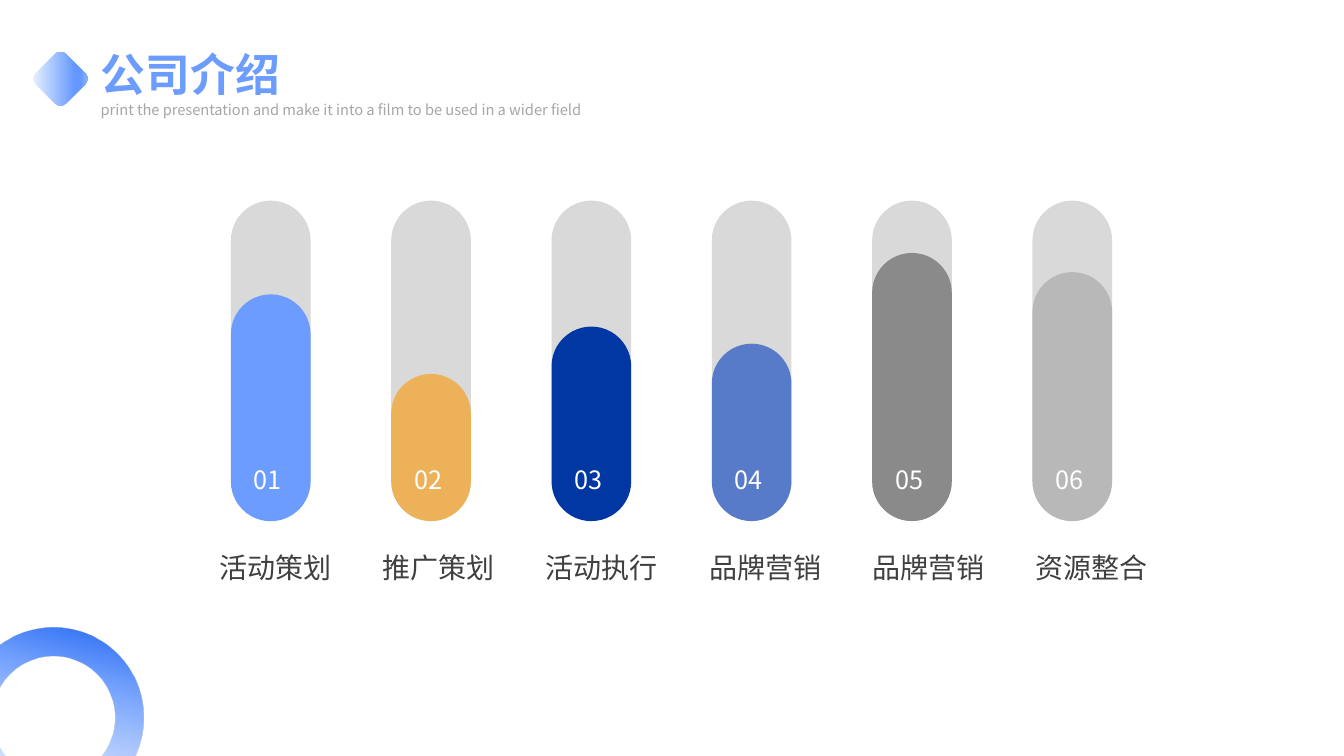
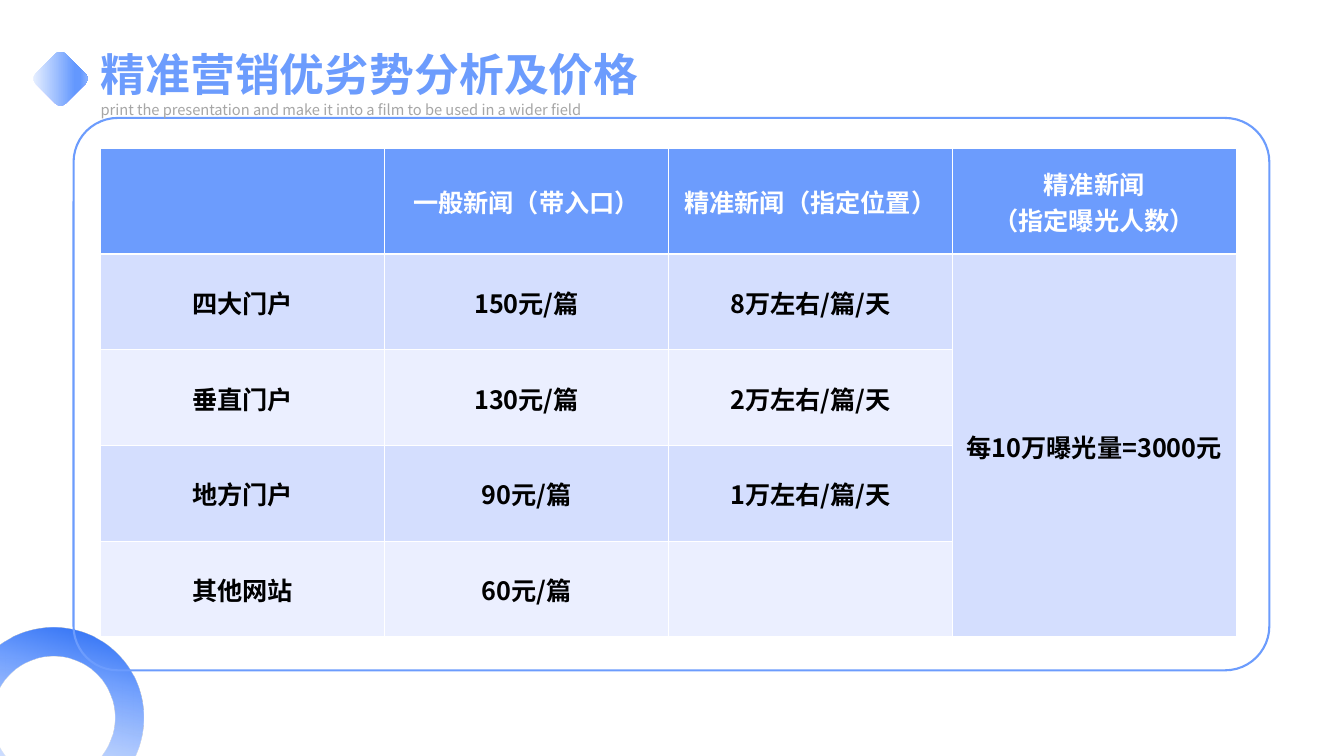
from lxml import etree
from pptx import Presentation
from pptx import util as u
from pptx.dml import color
from pptx.enum import shapes, text
from pptx.oxml import ns

# Shared look
SCALE = 9144  # EMU in one px, 100 px to the inch
FONT = "Noto Sans CJK SC"
BLUE, WHITE, BLACK = "6C9CFD", "FFFFFF", "000000"
TRACK, DARK, MUTED = "D9D9D9", "404040", "A6A6A6"
BANDS = ("D4DEFE", "EBEFFF")
SUBTITLE = "print the presentation and make it into a film to be used in a wider field"
# Gradient stops: percent, colour, opacity percent
DIAMOND_STOPS = [(0, "EEF4FF", 100), (74, "6498FE", 100),
                 (83, "6498FE", 100), (100, "98BAFE", 100)]
RING_STOPS = [(0, "0351EF", 100), (32, "709FFD", 100), (97, "A7C4FE", 0)]
CENTER = text.PP_ALIGN.CENTER

# Slide content
BARS = [("01", "活动策划", 225, BLUE), ("02", "推广策划", 146, "EDB159"),
        ("03", "活动执行", 193, "0137A3"), ("04", "品牌营销", 176, "587BC9"),
        ("05", "品牌营销", 266, "8A8A8A"), ("06", "资源整合", 247, "B8B8B8")]
PRICES = [
    ["", "一般新闻（带入口）", "精准新闻（指定位置）", "精准新闻\n（指定曝光人数）"],
    ["四大门户", "150元/篇", "8万左右/篇/天", "每10万曝光量=3000元"],
    ["垂直门户", "130元/篇", "2万左右/篇/天", ""],
    ["地方门户", "90元/篇", "1万左右/篇/天", ""],
    ["其他网站", "60元/篇", "", ""],
]


def px(value):
    return u.Emu(value * SCALE)


def rgb(value):
    return color.RGBColor.from_string(value)


def apply(target, values):
    for name, value in values.items():
        setattr(target, name, value)


def child(parent, tag, **attributes):
    element = etree.SubElement(parent, ns.qn(tag))
    for name, value in attributes.items():
        element.set(name, str(value))
    return element


def write(frame, content, size, ink, bold=False, **paragraph_format):
    """Fill a text frame, one paragraph for each line."""
    for index, line in enumerate(content.split("\n")):
        para = frame.add_paragraph() if index else frame.paragraphs[0]
        apply(para, paragraph_format)
        span = para.add_run()
        span.text = line
        apply(span.font, {"size": u.Pt(size), "bold": bold, "name": FONT})
        span.font.color.rgb = rgb(ink)
        child(span.font._element, "a:ea", typeface=FONT)


def add_text(page, at, content, size, ink, wrap=True, **style):
    box = page.shapes.add_textbox(*map(px, at))
    box.text_frame.word_wrap = wrap
    write(box.text_frame, content, size, ink, **style)


def add_shape(page, kind, at, fill=None, line=None, adjust=None, rotation=0):
    shape = page.shapes.add_shape(kind, *map(px, at))
    shape.shadow.inherit = False
    shape.rotation = rotation
    if adjust is not None:
        shape.adjustments[0] = adjust
    if fill:
        shape.fill.solid()
        shape.fill.fore_color.rgb = rgb(fill)
    else:
        shape.fill.background()
    if line:
        shape.line.color.rgb = rgb(line)
        shape.line.width = u.Pt(1.5)
    else:
        shape.line.fill.background()
    return shape


def set_gradient(shape, stops, angle):
    gradient = etree.Element(ns.qn("a:gradFill"), rotWithShape="1")
    stop_list = child(gradient, "a:gsLst")
    for position, tint, opacity in stops:
        stop = child(stop_list, "a:gs", pos=position * 1000)
        shade = child(stop, "a:srgbClr", val=tint)
        if opacity < 100:
            child(shade, "a:alpha", val=opacity * 1000)
    child(gradient, "a:lin", ang=angle * 60000, scaled=0)
    properties = shape._element.spPr
    properties.replace(properties.find(ns.qn("a:noFill")), gradient)


def set_borders(cell, ink):
    properties = cell._tc.get_or_add_tcPr()
    for index, side in enumerate("LRTB"):
        border = child(properties, f"a:ln{side}", w=u.Pt(1))
        child(child(border, "a:solidFill"), "a:srgbClr", val=ink)
        properties.insert(index, border)


def add_page(deck):
    """Add a page with the diamond and the corner ring."""
    page = deck.slides.add_slide(deck.slide_layouts[6])
    kinds = shapes.MSO_SHAPE
    diamond = add_shape(page, kinds.ROUNDED_RECTANGLE, (39, 57, 42, 42), rotation=45)
    set_gradient(diamond, DIAMOND_STOPS, 315)
    ring = add_shape(page, kinds.DONUT, (-36, 623, 178, 178), adjust=0.16, rotation=195)
    set_gradient(ring, RING_STOPS, 270)
    return page


def add_heading(page, title):
    add_text(page, (90, 41, 717, 64), title, 32, BLUE, bold=True)
    add_text(page, (90, 93, 609, 29), SUBTITLE, 10.5, MUTED, line_spacing=1.14)


def add_bar(page, index, number, caption, height, fill):
    left, top, width, full = 229 + 159 * index, 199, 79, 318
    pill = shapes.MSO_SHAPE.ROUNDED_RECTANGLE
    for part, ink in ((full, TRACK), (height, fill)):
        add_shape(page, pill, (left, top + full - part, width, part), ink, adjust=0.5)
    add_text(page, (left + 13, 456, 49, 40), number, 18, WHITE, wrap=False)
    add_text(page, (188 + 162 * index, 535, 170, 113), caption, 20, DARK,
             alignment=CENTER, line_spacing=1.2)


def add_price_table(page, rows):
    table = page.shapes.add_table(len(rows), len(rows[0]), px(100), px(147),
                                  px(1126), px(485)).table
    for column in table.columns:
        column.width = px(1126) // len(rows[0])
    for index, row in enumerate(table.rows):
        row.height = px(95 if index else 105)
    table.cell(1, 3).merge(table.cell(4, 3))
    for r, row in enumerate(rows):
        for c, content in enumerate(row):
            cell = table.cell(r, c)
            apply(cell, {"vertical_anchor": text.MSO_ANCHOR.MIDDLE,
                         "margin_left": px(1), "margin_right": px(1),
                         "margin_top": px(1), "margin_bottom": px(0)})
            cell.fill.solid()
            cell.fill.fore_color.rgb = rgb(BANDS[(r - 1) % 2] if r else BLUE)
            set_borders(cell, WHITE)
            if content:
                write(cell.text_frame, content, 18, BLACK if r else WHITE,
                      bold=True, alignment=CENTER)


def main():
    deck = Presentation()
    apply(deck, {"slide_width": u.Inches(13.33), "slide_height": u.Inches(7.5)})

    # Company introduction
    page = add_page(deck)
    for index, bar in enumerate(BARS):
        add_bar(page, index, *bar)
    add_heading(page, "公司介绍")

    # Price comparison
    page = add_page(deck)
    add_shape(page, shapes.MSO_SHAPE.ROUNDED_RECTANGLE, (73, 117, 1186, 548),
              line=BLUE, adjust=0.08)
    add_price_table(page, PRICES)
    add_heading(page, "精准营销优劣势分析及价格")

    deck.save("out.pptx")


if __name__ == "__main__":
    main()
